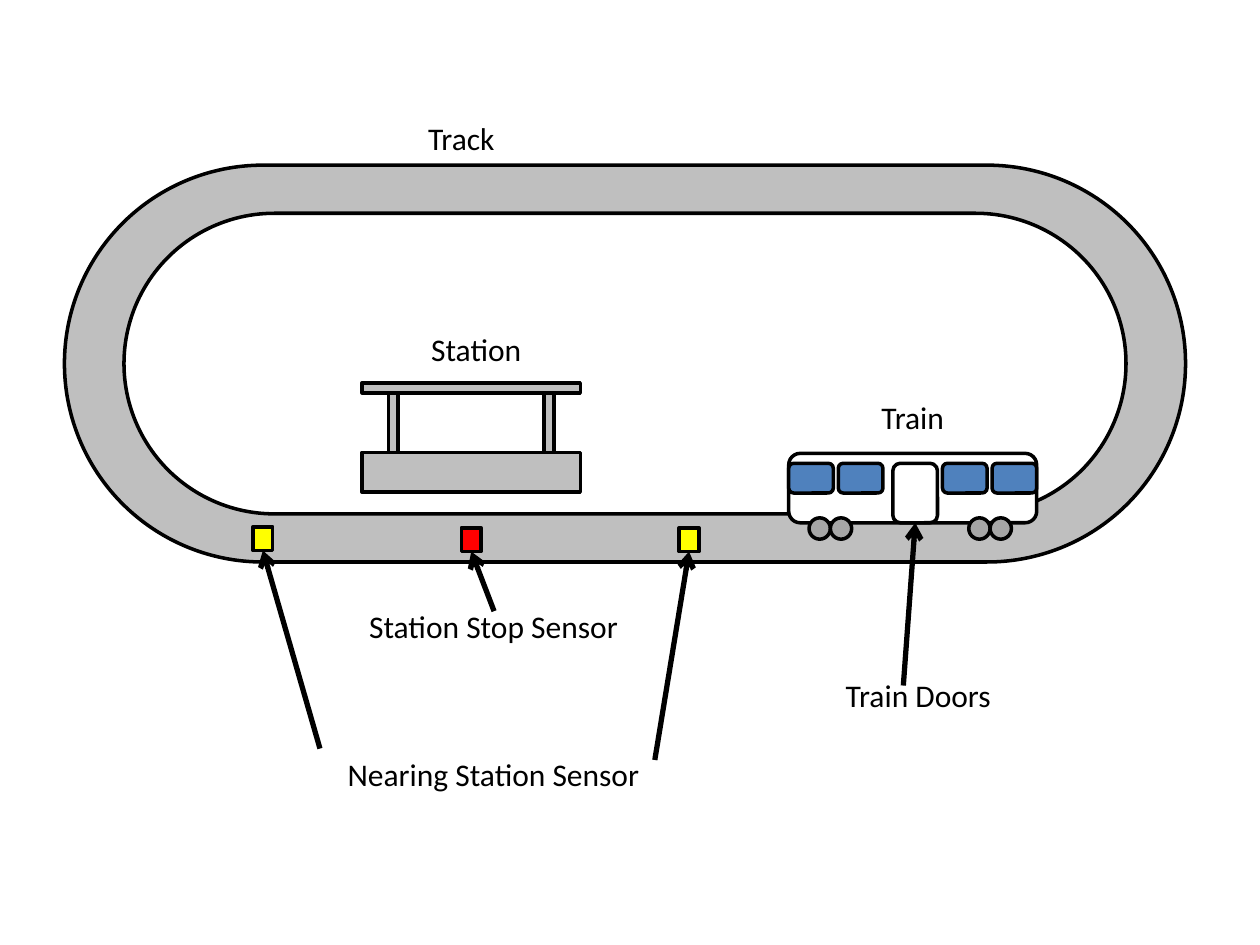
from lxml import etree
from pptx import Presentation
from pptx.dml.color import RGBColor
from pptx.enum.shapes import MSO_CONNECTOR, MSO_SHAPE as SHAPE
from pptx.enum.text import MSO_AUTO_SIZE, PP_ALIGN as ALIGN
from pptx.oxml.ns import qn
from pptx.util import Cm, Pt

BLACK = RGBColor(0x00, 0x00, 0x00)
WHITE = RGBColor(0xFF, 0xFF, 0xFF)
GREY = RGBColor(0xBF, 0xBF, 0xBF)
WHEEL_GREY = RGBColor(0xA6, 0xA6, 0xA6)
BLUE = RGBColor(0x4F, 0x81, 0xBD)
YELLOW = RGBColor(0xFF, 0xFF, 0x00)
RED = RGBColor(0xFF, 0x00, 0x00)
BOTTOM = 2


def add_part(shapes, kind, x, y, w, h, color):
    """Add a filled shape with a black outline."""
    sp = shapes.add_shape(kind, Cm(x), Cm(y), Cm(w), Cm(h))
    sp.shadow.inherit = False
    sp.fill.solid()
    sp.fill.fore_color.rgb = color
    sp.line.color.rgb = BLACK
    sp.line.width = Pt(2)
    return sp


def add_label(s, text, x, y, w, align=ALIGN.CENTER):
    tb = s.shapes.add_textbox(Cm(x), Cm(y), Cm(w), Cm(1.02))
    tf = tb.text_frame
    tf.word_wrap = True
    tf.auto_size = MSO_AUTO_SIZE.SHAPE_TO_FIT_TEXT
    tf.text = text
    p = tf.paragraphs[0]
    p.alignment = align
    font = p.runs[0].font
    font.name, font.size = "Calibri", Pt(18)
    font.color.rgb = BLACK


def add_arrow(s, x, y, target):
    """Point an arrow from (x, y) at the bottom of the target."""
    cxn = s.shapes.add_connector(MSO_CONNECTOR.STRAIGHT, Cm(x), Cm(y), Cm(x), Cm(y))
    cxn.end_connect(target, BOTTOM)
    cxn.line.color.rgb = BLACK
    cxn.line.width = Pt(3)
    etree.SubElement(cxn.line._get_or_add_ln(), qn("a:tailEnd"), type="arrow")
    etree.SubElement(cxn._element.spPr, qn("a:effectLst"))


def add_track(s, x, y, w, h):
    shapes = s.shapes.add_group_shape().shapes
    for dx, dy, color in ((0, 0, GREY), (1.2, 0.97, WHITE)):
        sp = add_part(shapes, SHAPE.ROUNDED_RECTANGLE,
                      x + dx, y + dy, w - 2 * dx, h - 2 * dy, color)
        sp.adjustments[0] = 0.5


def add_train(s, x, y, w, h):
    """Draw the train and return its door."""
    shapes = s.shapes.add_group_shape().shapes
    add_part(shapes, SHAPE.ROUNDED_RECTANGLE, x, y, w, h, WHITE)
    # Two pairs of touching wheels
    wheel = 0.43
    for pair in (0.41, 3.63):
        for dx in (pair, pair + wheel):
            add_part(shapes, SHAPE.OVAL, x + dx, y + h - 0.1, wheel, wheel, WHEEL_GREY)
    # Windows on both sides of the door
    for dx in (0, 1, w - 1.9, w - 0.9):
        add_part(shapes, SHAPE.ROUNDED_RECTANGLE, x + dx, y + 0.2, 0.9, 0.6, BLUE)
    return add_part(shapes, SHAPE.ROUNDED_RECTANGLE, x + 2.1, y + 0.2, 0.9, h - 0.2, WHITE)


def add_station(s, x, y, w, h):
    shapes = s.shapes.add_group_shape().shapes
    post, inset, platform = 0.2, 0.53, 0.8
    for dx in (inset, w - inset - post):
        add_part(shapes, SHAPE.RECTANGLE, x + dx, y + 0.1, post, 1.42, GREY)
    add_part(shapes, SHAPE.RECTANGLE, x, y, w, 0.2, GREY)
    add_part(shapes, SHAPE.RECTANGLE, x, y + h - platform, w, platform, GREY)


def add_sensor(s, x, y, color):
    return add_part(s.shapes, SHAPE.RECTANGLE, x, y, 0.4, 0.48, color)


def main():
    prs = Presentation()
    prs.slide_width, prs.slide_height = Cm(25.4), Cm(19.05)
    s = prs.slides.add_slide(prs.slide_layouts[6])

    # Scene
    add_track(s, 1.3, 3.33, 22.6, 8)
    door = add_train(s, 15.9, 9.14, 5, 1.4)
    add_station(s, 7.3, 7.72, 4.4, 2.2)
    near_right = add_sensor(s, 13.69, 10.64, YELLOW)
    stop = add_sensor(s, 9.3, 10.64, RED)
    near_left = add_sensor(s, 5.1, 10.62, YELLOW)

    # Labels
    add_label(s, "Station", 7.9, 6.53, 3.4)
    add_label(s, "Train", 16.7, 7.9, 3.4)
    add_label(s, "Track", 7.6, 2.28, 3.4)
    add_label(s, "Nearing Station Sensor", 6.7, 15.09, 6.5)
    add_label(s, "Station Stop Sensor", 6.7, 12.11, 6.5)
    add_label(s, "Train Doors", 16.8, 13.51, 4.1, ALIGN.LEFT)

    # Arrows from the labels
    for x, y, target in ((9.96, 12.32, stop), (6.45, 15.09, near_left),
                         (13.2, 15.32, near_right), (18.21, 13.82, door)):
        add_arrow(s, x, y, target)

    prs.save("out.pptx")


if __name__ == "__main__":
    main()
